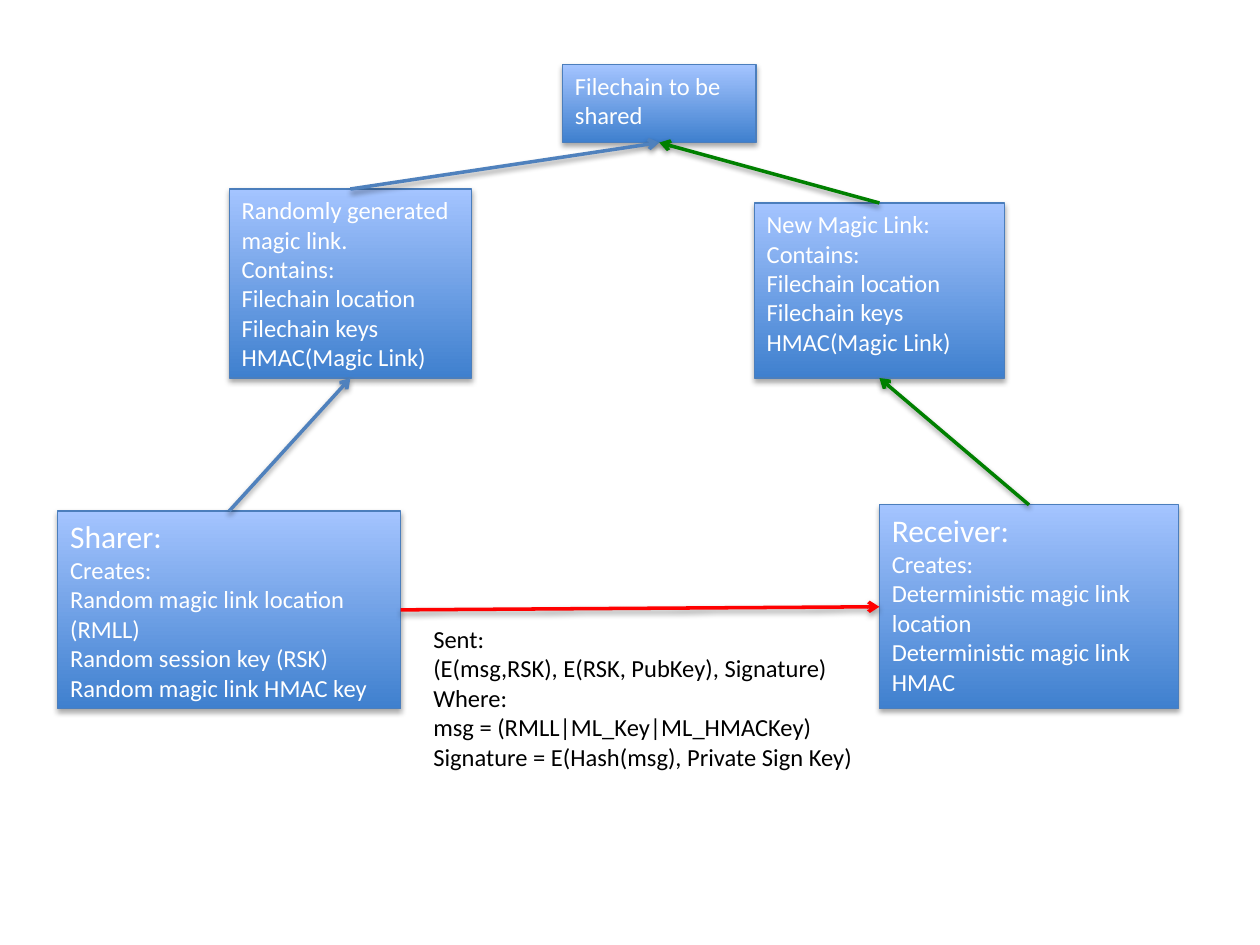
from lxml import etree
from pptx import Presentation
from pptx.dml.color import RGBColor
from pptx.enum.shapes import MSO_CONNECTOR, MSO_SHAPE
from pptx.enum.text import MSO_ANCHOR, PP_ALIGN
from pptx.oxml.ns import qn
from pptx.util import Pt

RECTANGLE = MSO_SHAPE.RECTANGLE
STRAIGHT = MSO_CONNECTOR.STRAIGHT
TOP_ANCHOR = MSO_ANCHOR.TOP
LEFT_ALIGN = PP_ALIGN.LEFT
TOP, LEFT, BOTTOM, RIGHT = range(4)

DEEP_BLUE = RGBColor(0x3F, 0x80, 0xCE)
PALE_BLUE = RGBColor(0xA4, 0xC4, 0xFF)
BORDER_BLUE = RGBColor(0x4B, 0x7E, 0xBC)
ARROW_BLUE = RGBColor(0x4F, 0x81, 0xBD)
GREEN = RGBColor(0x00, 0x80, 0x00)
RED = RGBColor(0xFF, 0x00, 0x00)
WHITE = RGBColor(0xFF, 0xFF, 0xFF)
BLACK = RGBColor(0x00, 0x00, 0x00)


def write_lines(frame, lines, color, first_size=14):
    frame.word_wrap = True
    frame.vertical_anchor = TOP_ANCHOR
    frame.text = "\n".join(lines)
    for index, paragraph in enumerate(frame.paragraphs):
        paragraph.alignment = LEFT_ALIGN
        font = paragraph.runs[0].font
        font.name = "Calibri"
        font.size = Pt(14 if index else first_size)
        font.color.rgb = color


def add_shadow(properties, distance, opacity):
    effects = properties.find(qn("a:effectLst"))
    if effects is None:
        effects = etree.SubElement(properties, qn("a:effectLst"))
    shadow = etree.SubElement(
        effects, qn("a:outerShdw"), blurRad=str(Pt(3.15)),
        dist=str(Pt(distance)), dir="5400000", rotWithShape="0")
    black = etree.SubElement(shadow, qn("a:srgbClr"), val="000000")
    etree.SubElement(black, qn("a:alpha"), val=str(opacity * 1000))


prs = Presentation()
prs.slide_width, prs.slide_height = Pt(720), Pt(540)
slide = prs.slides.add_slide(prs.slide_layouts[6])
shapes = slide.shapes

# Boxes: left, top, width, height, size of the first line, lines
link_contents = ["Contains:", "Filechain location", "Filechain keys",
                 "HMAC(Magic Link)"]
box_specs = {
    "sharer": (33, 292, 196, 113, 18, [
        "Sharer:", "Creates:", "Random magic link location (RMLL)",
        "Random session key (RSK)", "Random magic link HMAC key"]),
    "random link": (131, 108, 138.5, 108, 14,
                    ["Randomly generated magic link.", *link_contents]),
    "filechain": (321.5, 37, 110.5, 44.5, 14, ["Filechain to be shared"]),
    "receiver": (502.5, 288.5, 171, 116.5, 18, [
        "Receiver:", "Creates:", "Deterministic magic link location",
        "Deterministic magic link HMAC"]),
    "new link": (431, 116, 143, 100, 14, ["New Magic Link:", *link_contents]),
}
boxes = {}
for role, (left, top, width, height, first_size, lines) in box_specs.items():
    box = shapes.add_shape(RECTANGLE, Pt(left), Pt(top), Pt(width), Pt(height))
    box.fill.gradient()
    box.fill.gradient_angle = 90
    for stop, position, color in zip(box.fill.gradient_stops, (0, 1),
                                     (DEEP_BLUE, PALE_BLUE)):
        stop.position = position
        stop.color.rgb = color
    box.line.color.rgb = BORDER_BLUE
    box.line.width = Pt(0.75)
    box.shadow.inherit = False
    add_shadow(box._element.spPr, 1.8, 35)
    write_lines(box.text_frame, lines, WHITE, first_size)
    boxes[role] = box

# Arrows between the boxes
arrow_specs = [
    ("sharer", TOP, "random link", BOTTOM, ARROW_BLUE),
    ("random link", TOP, "filechain", BOTTOM, ARROW_BLUE),
    ("new link", TOP, "filechain", BOTTOM, GREEN),
    ("receiver", TOP, "new link", BOTTOM, GREEN),
    ("sharer", RIGHT, "receiver", LEFT, RED),
]
for source, source_side, target, target_side, color in arrow_specs:
    arrow = shapes.add_connector(STRAIGHT, 0, 0, 0, 0)
    arrow.begin_connect(boxes[source], source_side)
    arrow.end_connect(boxes[target], target_side)
    arrow.line.color.rgb = color
    arrow.line.width = Pt(2)
    etree.SubElement(arrow.line._get_or_add_ln(), qn("a:tailEnd"), type="arrow")
    add_shadow(arrow._element.spPr, 1.6, 38)

# Message sent from sharer to receiver
message = shapes.add_textbox(Pt(240.5), Pt(353), Pt(262), Pt(126))
write_lines(message.text_frame, [
    "Sent:",
    "(E(msg,RSK), E(RSK, PubKey), Signature)",
    "Where:",
    "msg = (RMLL|ML_Key|ML_HMACKey)",
    "Signature = E(Hash(msg), Private Sign Key)",
], BLACK)

prs.save("out.pptx")
